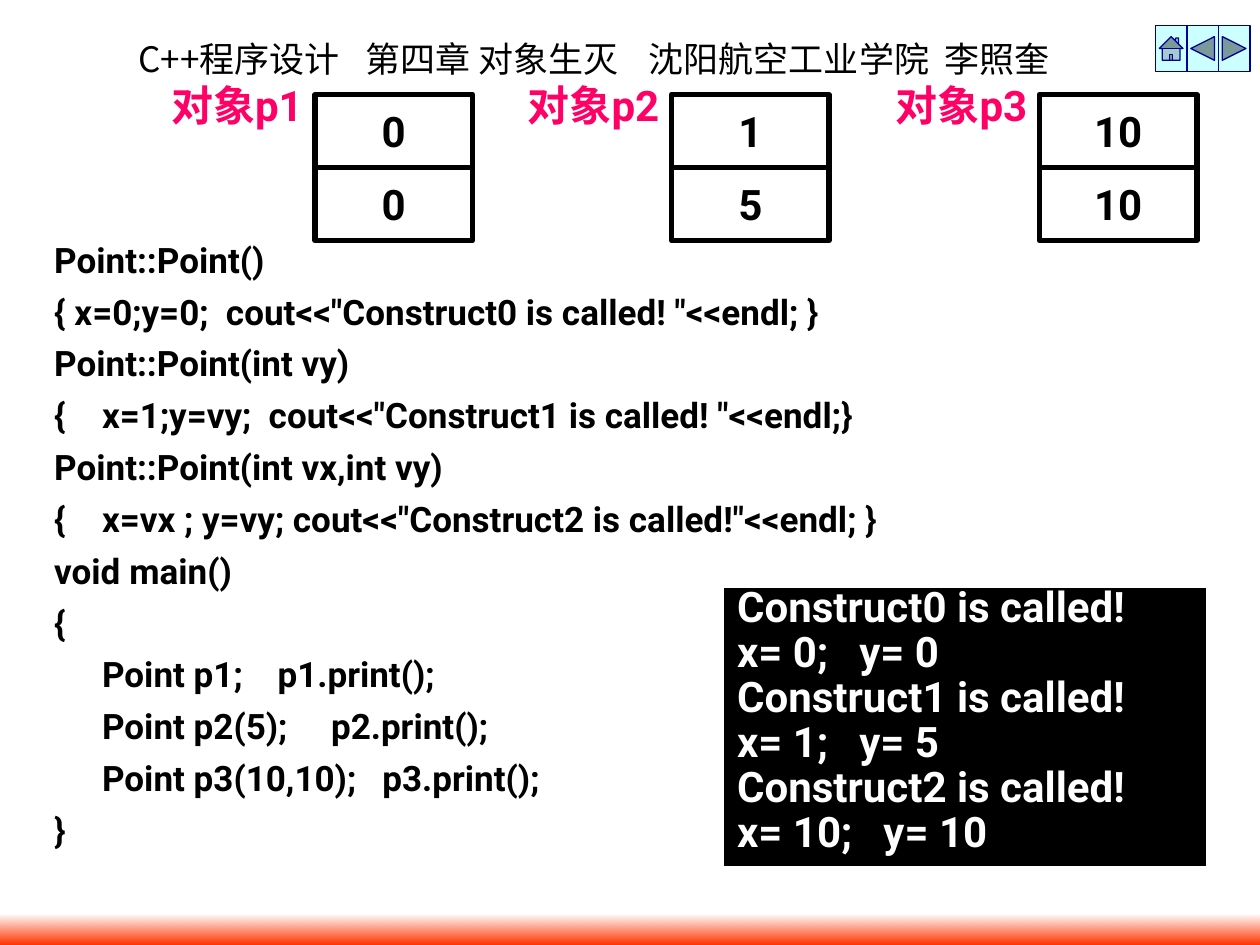
from dataclasses import dataclass

from lxml.etree import SubElement
from pptx import Presentation
from pptx.dml.color import RGBColor as RGB
from pptx.enum.shapes import MSO_SHAPE as SHAPE
from pptx.enum.text import MSO_ANCHOR as ANCHOR, MSO_AUTO_SIZE as AUTO, PP_ALIGN as ALIGN
from pptx.oxml.ns import qn
from pptx.util import Inches, Pt


@dataclass(frozen=True)
class Theme:
    black: RGB = RGB(0x00, 0x00, 0x00)
    white: RGB = RGB(0xFF, 0xFF, 0xFF)
    pink: RGB = RGB(0xFF, 0x00, 0x66)
    orange: RGB = RGB(0xFF, 0x33, 0x00)
    button: RGB = RGB(0xCC, 0xFF, 0xFF)
    navy: RGB = RGB(0x00, 0x00, 0x99)
    latin: str = "Roboto"
    cjk: str = "Noto Sans CJK SC"
    cjk_head: str = "Noto Sans CJK JP"
    small: Pt = Pt(20)
    large: Pt = Pt(24)


T = Theme()

HEADER = [("C++程序设计", T.cjk_head), ("第四章 对象生灭", T.cjk),
          ("沈阳航空工业学院", T.cjk_head), ("李照奎", T.cjk)]
HEADER_TABS = [1.8, 4.05, 6.4]

CODE = [
    "Point::Point()",
    '{ x=0;y=0;  cout<<"Construct0 is called! "<<endl; }',
    "Point::Point(int vy)",
    '{\tx=1;y=vy;  cout<<"Construct1 is called! "<<endl;}',
    "Point::Point(int vx,int vy)",
    '{\tx=vx ; y=vy; cout<<"Construct2 is called!"<<endl; }',
    "void main()",
    "{",
    "\tPoint p1;    p1.print();",
    "\tPoint p2(5);     p2.print();",
    "\tPoint p3(10,10);   p3.print();",
    "}",
]

OUTPUT = [
    "Construct0 is called!", "x= 0;   y= 0",
    "Construct1 is called!", "x= 1;   y= 5",
    "Construct2 is called!", "x= 10;   y= 10",
]

# Left edge of each object diagram, its name and its x and y
OBJECTS = [(1.17, "对象p1", (0, 0)), (4, "对象p2", (1, 5)), (6.92, "对象p3", (10, 10))]


def apply(obj, **values):
    for name, value in values.items():
        setattr(obj, name, value)


def add_run(p, text, size, color, bold=True, latin=T.latin, east=T.cjk):
    r = p.add_run()
    r.text = text
    apply(r.font, size=size, bold=bold, name=latin)
    r.font.color.rgb = color
    SubElement(r.font._element, qn("a:ea"), typeface=east)


def add_lines(tf, lines, size, color, gap, **para):
    for i, line in enumerate(lines):
        p = tf.add_paragraph() if i else tf.paragraphs[0]
        apply(p, space_before=gap if i else Pt(0), **para)
        add_run(p, line, size, color)


def centred_text(sp, text, color):
    tf = sp.text_frame
    apply(tf, word_wrap=False, vertical_anchor=ANCHOR.MIDDLE)
    add_lines(tf, [text], T.large, color, Pt(0), alignment=ALIGN.CENTER)


def add_header(slide, x, y, w, h):
    tf = slide.shapes.add_textbox(x, y, w, h).text_frame
    apply(tf, word_wrap=True, auto_size=AUTO.SHAPE_TO_FIT_TEXT)
    p = tf.paragraphs[0]
    tabs = SubElement(p._p.get_or_add_pPr(), qn("a:tabLst"))
    for pos in HEADER_TABS:
        SubElement(tabs, qn("a:tab"), pos=str(Inches(pos)), algn="l")
    for i, (text, font) in enumerate(HEADER):
        add_run(p, ("\t" if i else "") + text, T.small, T.black, False, font, font)


def add_footer_band(slide, x, y, w, h):
    sp = slide.shapes.add_shape(SHAPE.RECTANGLE, x, y, w, h)
    sp.shadow.inherit = False
    sp.line.fill.background()
    sp.fill.gradient()
    sp.fill.gradient_angle = 270
    for stop, color in zip(sp.fill.gradient_stops, (T.white, T.orange)):
        stop.color.rgb = color


def add_navigation(slide, x, y, w, h):
    kinds = (SHAPE.ACTION_BUTTON_HOME, SHAPE.ACTION_BUTTON_BACK_OR_PREVIOUS,
             SHAPE.ACTION_BUTTON_FORWARD_OR_NEXT)
    step = w // len(kinds)
    for i, kind in enumerate(kinds):
        sp = slide.shapes.add_shape(kind, x + i * step, y, step, h)
        sp.shadow.inherit = False
        sp.fill.solid()
        sp.fill.fore_color.rgb = T.button
        sp.line.color.rgb = T.navy
        sp.line.width = Pt(0.75)


def add_code(slide, x, y, w, h):
    body = slide.placeholders[1]
    apply(body, left=x, top=y, width=w, height=h)
    tf = body.text_frame
    apply(tf, word_wrap=True, auto_size=AUTO.NONE)
    add_lines(tf, CODE, T.small, T.black, Pt(5.6))
    # Hanging indent without bullets
    for p in tf.paragraphs:
        pPr = p._p.get_or_add_pPr()
        pPr.set("marL", str(Inches(0.38)))
        pPr.set("indent", str(-Inches(0.38)))
        SubElement(pPr, qn("a:buNone"))


def add_console(slide, x, y, w, h):
    table = slide.shapes.add_table(1, 1, x, y, w, h).table
    apply(table, first_row=False, horz_banding=False)
    cell = table.cell(0, 0)
    add_lines(cell.text_frame, OUTPUT, T.large, T.white, Pt(6),
              line_spacing=0.7, alignment=ALIGN.JUSTIFY)
    # Borders come before the fill in the cell properties
    tcPr = cell._tc.get_or_add_tcPr()
    for side in ("lnL", "lnR", "lnT", "lnB"):
        ln = SubElement(tcPr, qn(f"a:{side}"), w=str(Pt(0.45)))
        SubElement(SubElement(ln, qn("a:solidFill")), qn("a:srgbClr"), val=str(T.black))
    cell.fill.solid()
    cell.fill.fore_color.rgb = T.black


def add_object(slide, x, y, w, h, name, values):
    shapes = slide.shapes.add_group_shape().shapes
    # Stacked member cells at the right of the box
    cell_w, cell_h = Inches(1.25), Inches(0.58)
    top = y + h - len(values) * cell_h
    for i, value in enumerate(values):
        sp = shapes.add_shape(SHAPE.RECTANGLE, x + w - cell_w, top + i * cell_h, cell_w, cell_h)
        sp.shadow.inherit = False
        sp.fill.background()
        sp.line.color.rgb = T.black
        sp.line.width = Pt(3)
        centred_text(sp, str(value), T.black)
    # Object name at the upper left
    centred_text(shapes.add_textbox(x, y, Inches(1.42), Inches(0.5)), name, T.pink)


def main():
    prs = Presentation()
    prs.slide_width, prs.slide_height = Inches(10), Inches(7.5)
    slide = prs.slides.add_slide(prs.slide_layouts[1])
    title = slide.shapes.title._element
    title.getparent().remove(title)

    add_header(slide, Inches(1), Inches(0.25), Inches(8.25), Inches(0.44))
    add_footer_band(slide, 0, Inches(7.25), prs.slide_width, Inches(0.25))
    add_navigation(slide, Inches(9.17), Inches(0.2), Inches(0.75), Inches(0.37))
    add_code(slide, Inches(0.33), Inches(1.84), Inches(9.14), Inches(5.25))
    add_console(slide, Inches(5.75), Inches(4.67), Inches(3.82), Inches(2.2))
    for x, name, values in OBJECTS:
        add_object(slide, Inches(x), Inches(0.58), Inches(2.58), Inches(1.33), name, values)
    prs.save("out.pptx")


if __name__ == "__main__":
    main()
